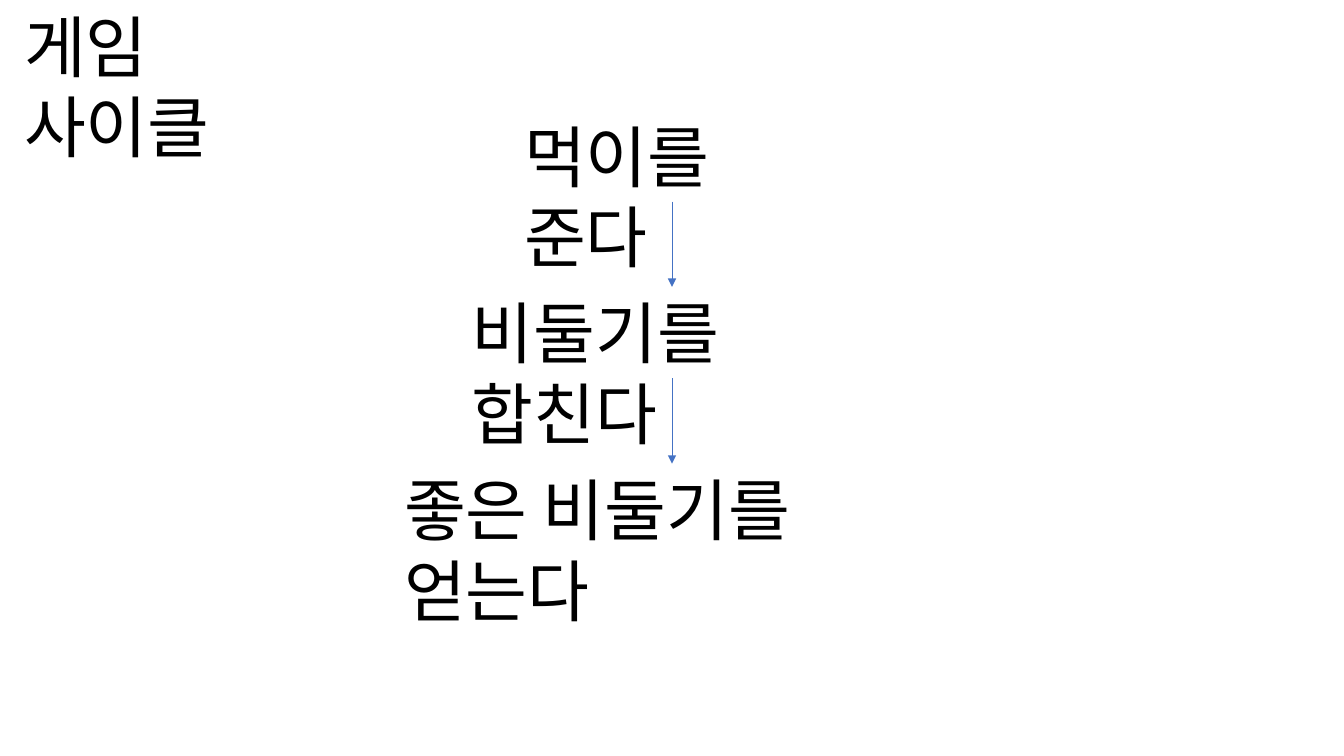
from lxml import etree
from pptx import Presentation
from pptx.dml.color import RGBColor
from pptx.enum.shapes import MSO_CONNECTOR
from pptx.enum.text import MSO_AUTO_SIZE
from pptx.oxml.ns import qn
from pptx.util import Inches, Pt

STRAIGHT = MSO_CONNECTOR.STRAIGHT
GROW = MSO_AUTO_SIZE.SHAPE_TO_FIT_TEXT
BOTTOM, TOP = 2, 0
WIDE, HIGH = 13.33, 7.5


def color(code):
    return RGBColor.from_string(code)


class Board:
    font = "Noto Sans CJK KR"
    size = 48
    ink = "000000"
    blue = "4472C4"
    tall = 0.91 / HIGH

    def __init__(self, deck):
        self.slide = deck.slides.add_slide(deck.slide_layouts[6])

    def label(self, words, left, top, width):
        box = self.slide.shapes.add_textbox(
            Inches(left * WIDE), Inches(top * HIGH),
            Inches(width * WIDE), Inches(self.tall * HIGH))
        frame = box.text_frame
        frame.word_wrap = False
        frame.auto_size = GROW
        run = frame.paragraphs[0].add_run()
        run.text = words
        run.font.name = self.font
        run.font.size = Pt(self.size)
        run.font.color.rgb = color(self.ink)
        east = etree.SubElement(run.font._element, qn("a:ea"))
        east.set("typeface", self.font)
        return box

    def arrow(self, start, end):
        link = self.slide.shapes.add_connector(STRAIGHT, 0, 0, 0, 0)
        link.begin_connect(start, BOTTOM)
        link.end_connect(end, TOP)
        link.line.color.rgb = color(self.blue)
        link.line.width = Pt(0.5)
        tip = etree.SubElement(link.line._get_or_add_ln(), qn("a:tailEnd"))
        tip.set("type", "triangle")
        etree.SubElement(link._element.spPr, qn("a:effectLst"))


def main():
    deck = Presentation()
    deck.slide_width = Inches(WIDE)
    deck.slide_height = Inches(HIGH)
    board = Board(deck)
    board.label("게임 사이클", 0.14 / WIDE, 0, 3.13 / WIDE)

    first, step = 1.09 / HIGH, 1.755 / HIGH
    cycle = [("먹이를 준다", 3.13), ("비둘기를 합친다", 4.17),
             ("좋은 비둘기를 얻는다", 5.51)]
    boxes = []
    for row, (words, width) in enumerate(cycle):
        share = width / WIDE
        boxes.append(board.label(words, 0.5 - share / 2, first + row * step, share))
    for start, end in zip(boxes, boxes[1:]):
        board.arrow(start, end)
    deck.save("out.pptx")


if __name__ == "__main__":
    main()
